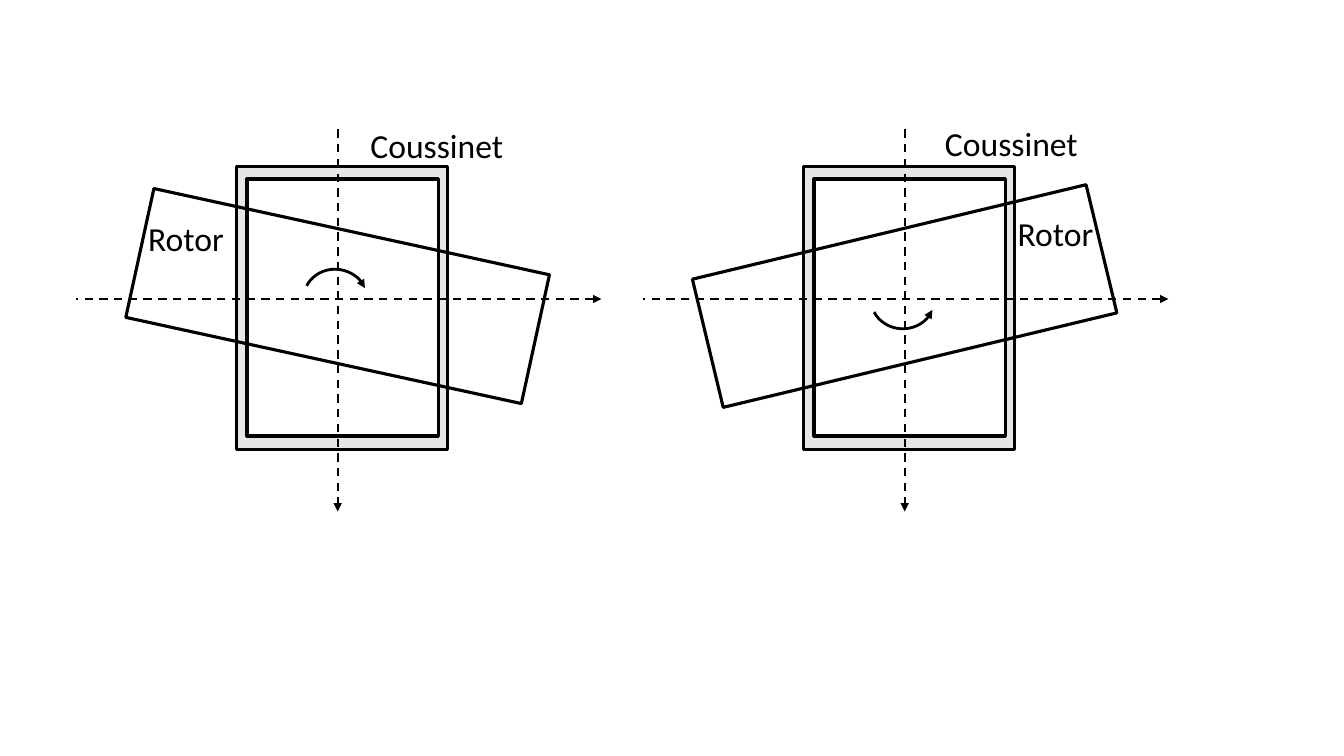
from dataclasses import dataclass

from lxml.etree import SubElement
from pptx import Presentation
from pptx.dml.color import RGBColor
from pptx.enum.dml import MSO_LINE
from pptx.enum.shapes import MSO_CONNECTOR, MSO_SHAPE
from pptx.enum.text import MSO_AUTO_SIZE, PP_ALIGN
from pptx.oxml.ns import qn
from pptx.util import Inches, Pt


@dataclass(frozen=True)
class Theme:
    ink: RGBColor = RGBColor(0, 0, 0)
    bush: RGBColor = RGBColor(0xE7, 0xE6, 0xE6)
    paper: RGBColor = RGBColor(255, 255, 255)
    font: str = "Calibri"
    label_size: float = 24
    outline: float = 2.25
    turn: float = 2
    axis: float = 1.5


def write(frame, text, *, font, size, color, align=PP_ALIGN.CENTER):
    paragraph = frame.paragraphs[0]
    paragraph.alignment = align
    run = paragraph.add_run()
    run.text = text
    run.font.name = font
    run.font.size = Pt(size)
    run.font.color.rgb = color


class Diagram:
    """Draws bearing views on a grid of 160 columns by 90 rows."""

    def __init__(self, deck, theme):
        self.theme = theme
        self.column = deck.slide_width / 160
        self.row = deck.slide_height / 90
        self.slide = deck.slides.add_slide(deck.slide_layouts[6])
        self.slide.background.fill.solid()
        self.slide.background.fill.fore_color.rgb = theme.paper

    def start_view(self, shift):
        self.shift = shift
        self.view = self.slide.shapes.add_group_shape().shapes

    def place(self, left, top, width, height):
        return (round((left + self.shift) * self.column), round(top * self.row),
                round(width * self.column), round(height * self.row))

    def stroke(self, line, width, arrow=None):
        line.color.rgb = self.theme.ink
        line.width = Pt(width)
        if arrow:
            SubElement(line._get_or_add_ln(), qn(f"a:{arrow}"), type="triangle")

    def box(self, area, fill=None, turn=0):
        outline = self.view.add_shape(MSO_SHAPE.RECTANGLE, *self.place(*area))
        outline.shadow.inherit = False
        outline.rotation = turn
        if fill is None:
            outline.fill.background()
        else:
            outline.fill.solid()
            outline.fill.fore_color.rgb = fill
        self.stroke(outline.line, self.theme.outline)

    def axis(self, start, end, arrow):
        (x1, y1), (x2, y2) = (self.place(*point, 0, 0)[:2] for point in (start, end))
        axis = self.view.add_connector(MSO_CONNECTOR.STRAIGHT, x1, y1, x2, y2)
        axis.line.dash_style = MSO_LINE.DASH
        self.stroke(axis.line, self.theme.axis, arrow)
        SubElement(axis._element.spPr, qn("a:effectLst"))

    def rotation(self, area, turn, arrow):
        arc = self.view.add_shape(MSO_SHAPE.ARC, *self.place(*area))
        arc.shadow.inherit = False
        arc.adjustments[0], arc.adjustments[1] = 172.06, 37.06
        arc.rotation = turn
        arc.fill.background()
        self.stroke(arc.line, self.theme.turn, arrow)

    def label(self, text, area):
        frame = self.view.add_textbox(*self.place(*area)).text_frame
        frame.word_wrap = True
        frame.auto_size = MSO_AUTO_SIZE.SHAPE_TO_FIT_TEXT
        frame.margin_left = frame.margin_right = 0
        write(frame, text, font=self.theme.font, size=self.theme.label_size,
              color=self.theme.ink)

    def bearing(self, shift, tilt, turn, arrow, bush_label, rotor_label):
        self.start_view(shift)
        self.box((28.2, 19.8, 25.1, 33.7), self.theme.bush)
        self.box((29.4, 21.3, 22.8, 30.6), self.theme.paper)
        self.axis((71.6, 35.6), (9.1, 35.6), "headEnd")
        self.axis((40.2, 15.4), (40.2, 60.9), "tailEnd")
        self.box((16.1, 27.4, 48.2, 15.7), turn=tilt)
        self.rotation((36.4, 31.8, 7.1, 7.6), turn, arrow)
        self.label("Coussinet", (*bush_label, 22, 6))
        self.label("Rotor", (*rotor_label, 11.5, 6))


def main():
    deck = Presentation()
    deck.slide_width, deck.slide_height = Inches(13.33), Inches(7.5)
    diagram = Diagram(deck, Theme())
    diagram.bearing(0, 12.3, 277.8, "tailEnd", (41, 14.3), (16.4, 25.4))
    diagram.bearing(67.5, 346.5, 93.4, "headEnd", (41.9, 14), (52.4, 24.7))
    deck.save("out.pptx")


if __name__ == "__main__":
    main()
